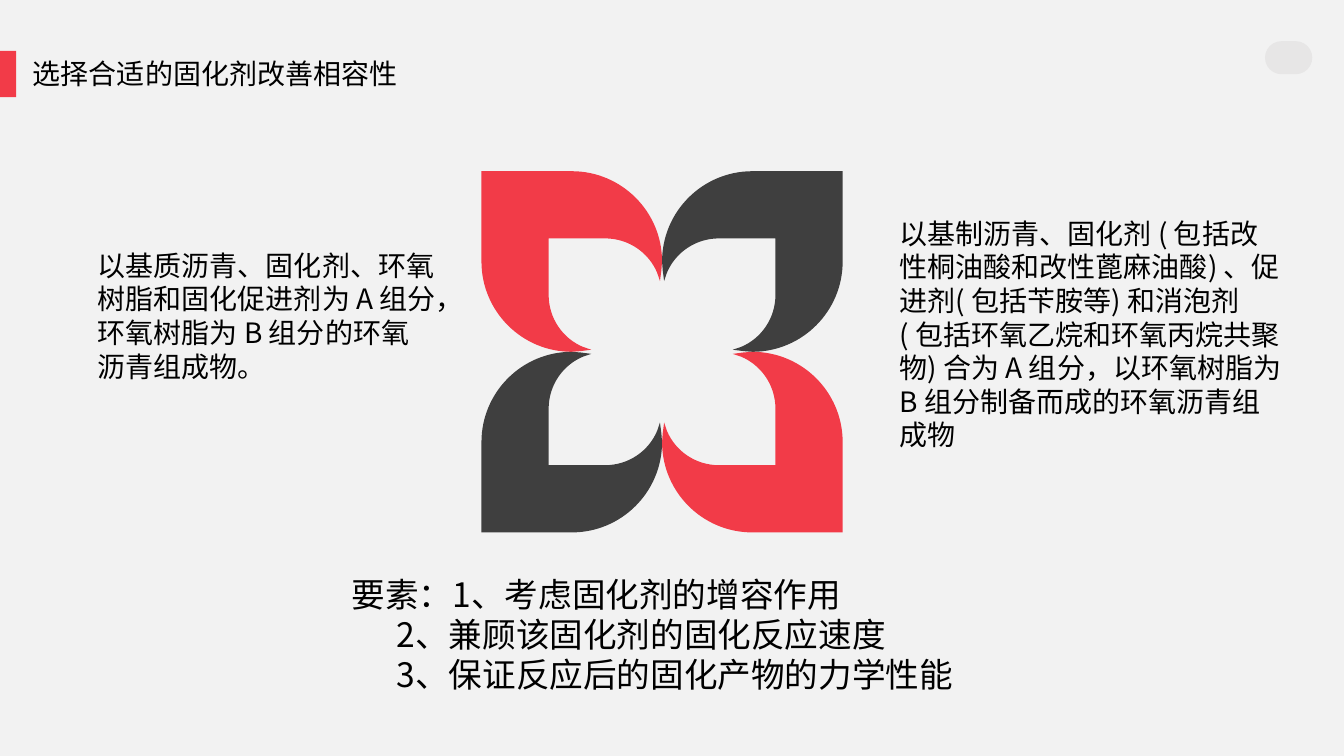
from lxml.etree import SubElement
from pptx import Presentation
from pptx.dml.color import RGBColor
from pptx.enum.shapes import MSO_SHAPE as Preset
from pptx.enum.text import MSO_AUTO_SIZE as AutoSize
from pptx.oxml.ns import qn
from pptx.util import Pt

RED = RGBColor(0xF2, 0x3B, 0x48)
CHARCOAL = RGBColor(0x3F, 0x3F, 0x3F)
PALE = RGBColor(0xE7, 0xE6, 0xE6)
BACKGROUND = RGBColor(0xF2, 0xF2, 0xF2)
BLACK = RGBColor(0, 0, 0)
FONT = "Noto Sans CJK SC"

TITLE = ["选择合适的固化剂改善相容性"]
LEFT_NOTE = ["以基质沥青、固化剂、环氧树脂和固化促进剂为 A 组分，环氧树脂为 B 组分的环氧沥青组成物。"]
RIGHT_NOTE = [
    "以基制沥青、固化剂 ( 包括改性桐油酸和改性蓖麻油酸) 、促进剂( 包括苄胺等) 和消泡剂 "
    "( 包括环氧乙烷和环氧丙烷共聚物) 合为 A 组分，以环氧树脂为 B 组分制备而成的环氧沥青组成物"
]
FACTORS = [
    "要素：1、考虑固化剂的增容作用",
    "2、兼顾该固化剂的固化反应速度",
    "3、保证反应后的固化产物的力学性能",
]
FACTOR_INDENT = 32

TEXTS = [
    (RIGHT_NOTE, (638.9, 150.9, 283, 177), 20, 1.0),
    (LEFT_NOTE, (66.2, 173.8, 249.1, 104.4), 20, 1.0),
    (TITLE, (19.9, 39.6, 300.2, 28.8), 20, 0.9),
    (FACTORS, (247.7, 406.1, 479.5, 94.3), 24, 1.0),
]
DECORATIONS = [
    (Preset.RECTANGLE, (0, 36.4, 11.5, 33.1), RED),
    (Preset.ROUNDED_RECTANGLE, (903.6, 29.4, 33.8, 23.6), PALE),
]

FLOWER_CENTER = (472.9, 251.3)
PETAL_CORNER = (129, 129)
INNER_CORNER = (81, 81)
OUTER_CURVE = [(64.5, 129), (28.9, 129), (0, 100.1), (0, 64.5)]
TIP = [(0.5, 58), (1.5, 50.5)]
INNER_CURVE = [(3.5, 56.5), (9.6, 71), (24, 81), (40.7, 81)]
HALF = OUTER_CURVE + TIP + INNER_CURVE
MIRRORED_HALF = [(y, x) for x, y in reversed(HALF)]
PETAL = [PETAL_CORNER] + HALF + [INNER_CORNER] + MIRRORED_HALF
CURVE_STARTS = [1, 7, 12, 18]


def paint(shape, color):
    shape.shadow.inherit = False
    shape.fill.solid()
    shape.fill.fore_color.rgb = color
    shape.line.fill.background()


def bend(shape):
    segments = list(shape._element.iter(qn("a:lnTo")))
    for start in CURVE_STARTS:
        first, second, third = segments[start:start + 3]
        first.addprevious(curve := first.makeelement(qn("a:cubicBezTo")))
        for segment in (first, second, third):
            curve.append(segment[0])
            segment.getparent().remove(segment)


def add_petal(group, side_x, side_y):
    center_x, center_y = FLOWER_CENTER
    points = [(Pt(center_x + side_x * x), Pt(center_y + side_y * y)) for x, y in PETAL]
    builder = group.shapes.build_freeform(*points[0], scale=1.0)
    builder.add_line_segments(points[1:], close=True)
    petal = builder.convert_to_shape()
    bend(petal)
    paint(petal, RED if side_x == side_y else CHARCOAL)


def add_text(slide, lines, box, size, spacing):
    frame = slide.shapes.add_textbox(*map(Pt, box)).text_frame
    frame.word_wrap = True
    frame.auto_size = AutoSize.SHAPE_TO_FIT_TEXT
    frame.margin_left = frame.margin_right = Pt(3.6)
    frame.margin_top = frame.margin_bottom = Pt(3.6)
    for index, line in enumerate(lines):
        paragraph = frame.add_paragraph() if index else frame.paragraphs[0]
        paragraph.line_spacing = spacing
        if index:
            paragraph._p.get_or_add_pPr().set("marL", str(Pt(FACTOR_INDENT)))
        run = paragraph.add_run()
        run.text = line
        run.font.size = Pt(size)
        run.font.color.rgb = BLACK
        run.font.name = FONT
        SubElement(run._r.get_or_add_rPr(), qn("a:ea"), typeface=FONT)


def main():
    presentation = Presentation()
    presentation.slide_width, presentation.slide_height = Pt(960), Pt(540)
    slide = presentation.slides.add_slide(presentation.slide_layouts[6])
    slide.background.fill.solid()
    slide.background.fill.fore_color.rgb = BACKGROUND

    for preset, box, color in DECORATIONS:
        shape = slide.shapes.add_shape(preset, *map(Pt, box))
        if preset == Preset.ROUNDED_RECTANGLE:
            shape.adjustments[0] = 0.5
        paint(shape, color)

    flower = slide.shapes.add_group_shape()
    for side_y in (-1, 1):
        for side_x in (-1, 1):
            add_petal(flower, side_x, side_y)

    for text in TEXTS:
        add_text(slide, *text)
    presentation.save("out.pptx")


if __name__ == "__main__":
    main()
